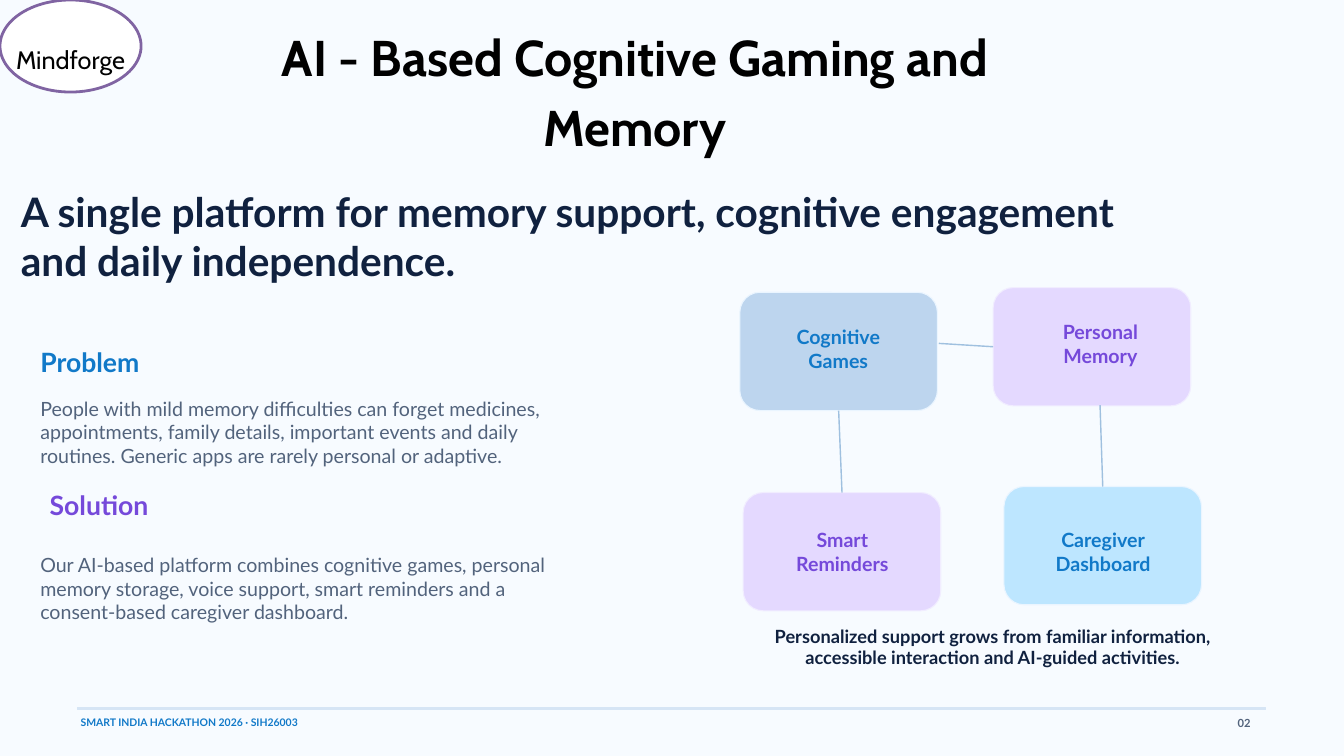
from pptx import Presentation
from pptx.dml.color import RGBColor
from pptx.enum.shapes import MSO_CONNECTOR, MSO_SHAPE
from pptx.enum.text import MSO_ANCHOR, MSO_AUTO_SIZE, PP_ALIGN
from pptx.oxml.ns import qn
from pptx.util import Inches, Pt
from lxml import etree

LEFT, MID, RIGHT = PP_ALIGN.LEFT, PP_ALIGN.CENTER, PP_ALIGN.RIGHT
TOP, CENTER = MSO_ANCHOR.TOP, MSO_ANCHOR.MIDDLE
ROUND, OVAL, RECT = MSO_SHAPE.ROUNDED_RECTANGLE, MSO_SHAPE.OVAL, MSO_SHAPE.RECTANGLE
STRAIGHT, NO_FIT = MSO_CONNECTOR.STRAIGHT, MSO_AUTO_SIZE.NONE

HEX = {
    "back": "F7FBFF", "rule": "D6E5F5", "link": "9FC0DF", "white": "FFFFFF",
    "black": "000000", "navy": "10213F", "gray": "52637C", "blue": "1179C8",
    "violet": "7549DA", "ring": "8064A2", "steel": "BDD5EE", "lilac": "E4D9FF",
    "sky": "BDE6FF", "ice": "EAF5FF", "mist": "F1EDFF",
}
RGB = {name: RGBColor.from_string(code) for name, code in HEX.items()}

deck = Presentation()
deck.slide_width, deck.slide_height = Inches(20), Inches(11.25)
CELL = deck.slide_width / 20  # the slide is a grid of 20 columns by 11.25 rows

slide = deck.slides.add_slide(deck.slide_layouts[5])
slide.background.fill.solid()
slide.background.fill.fore_color.rgb = RGB["back"]
shapes = slide.shapes


def write(box, text, size, color, lead, font="Lato", bold=True, align=LEFT,
          anchor=TOP, wrap=True, pad=(0, 0, 0, 0)):
    """Fill a shape with text; pad is left, top, right, bottom in cells."""
    frame = box.text_frame
    frame.auto_size, frame.word_wrap, frame.vertical_anchor = NO_FIT, wrap, anchor
    (frame.margin_left, frame.margin_top,
     frame.margin_right, frame.margin_bottom) = [round(p * CELL) for p in pad]
    frame.text = text
    for para in frame.paragraphs:
        para.alignment, para.line_spacing = align, Pt(lead)
        para.space_before = Pt(0)
        para.font.name, para.font.size, para.font.bold = font, Pt(size), bold
        para.font.color.rgb = RGB[color]


def draw(kind, spot, fill, edge, width):
    """Add a filled and outlined preset shape at a spot given in cells."""
    shape = shapes.add_shape(kind, *[round(n * CELL) for n in spot])
    shape.shadow.inherit = False
    shape.fill.solid()
    shape.fill.fore_color.rgb = RGB[fill]
    shape.line.color.rgb = RGB[edge]
    shape.line.width = Pt(width)
    return shape


# Title
title = shapes.title
title.left, title.top, title.width, title.height = [
    round(n * CELL) for n in (3.6, 0.24, 11.69, 2.05)]
write(title, "AI - Based Cognitive Gaming and Memory", 53.8, "black", 75.3,
      font="Cabin", align=MID)

# Footer rule
draw(RECT, (1.16, 10.53, 17.67, 0.03), "rule", "rule", 1.13)

# Feature cards: left, top, fill, edge, text colour, label, label inset
CARD_W, CARD_H, LABEL_W = 2.94, 1.76, 2.55
cards = []
for x, y, fill, edge, color, label, dx, dy in [
    (11.01, 4.35, "steel", "ice", "blue", "Cognitive\nGames", 0.19, 0.4),
    (14.78, 4.28, "lilac", "mist", "violet", "Personal\nMemory", 0.32, 0.4),
    (11.06, 7.33, "lilac", "mist", "violet", "Smart\nReminders", 0.2, 0.44),
    (14.94, 7.24, "sky", "ice", "blue", "Caregiver\nDashboard", 0.2, 0.53),
]:
    card = draw(ROUND, (x, y, CARD_W, CARD_H), fill, edge, 1.13)
    card.adjustments[0] = 0.17
    write(card, label, 21, color, 25.2, align=MID,
          pad=(dx, dy, CARD_W - LABEL_W - dx, 0))
    cards.append(card)
games, memory, alerts, board = cards

# Links between cards: ends in cells, then the cards and sides they join
for ends, start, stop in [
    ((13.97, 5.11, 14.75, 5.14), None, (memory, 1)),
    ((12.44, 6.15, 12.47, 7.3), (games, 2), (alerts, 0)),
    ((16.37, 6.03, 16.4, 7.18), None, (board, 0)),
]:
    link = shapes.add_connector(STRAIGHT, *[round(n * CELL) for n in ends])
    link.line.color.rgb = RGB["link"]
    link.line.width = Pt(1.5)
    etree.SubElement(link._element.spPr, qn("a:effectLst"))
    if start:
        link.begin_connect(*start)
    link.end_connect(*stop)

# Team badge
badge = draw(OVAL, (0, 0, 2.1, 1.37), "white", "ring", 3)
write(badge, "Mindforge", 27, "black", 32.4, font="Cabin", bold=False, align=MID,
      anchor=CENTER, wrap=False, pad=(0, 0.4, 0, 0))

# Text blocks: place in cells, text, format
body = dict(size=21, color="gray", lead=25.2, bold=False)
head = dict(size=28.5, lead=34.2)
for spot, text, style in [
    ((0.31, 2.78, 17.41, 1.44),
     "A single platform for memory support, cognitive engagement and daily "
     "independence.", dict(size=43.5, color="navy", lead=52.2)),
    ((0.6, 5.14, 3, 0.33), "Problem", dict(head, color="blue")),
    ((0.6, 5.9, 8.03, 1.39),
     "People with mild memory difficulties can forget medicines, appointments, "
     "family details, important events and daily routines. Generic apps are "
     "rarely personal or adaptive.", body),
    ((0.74, 7.28, 3, 0.33), "Solution", dict(head, color="violet")),
    ((0.6, 8.23, 8.03, 1.18),
     "Our AI-based platform combines cognitive games, personal memory storage, "
     "voice support, smart reminders and a consent-based caregiver dashboard.",
     body),
    ((11.06, 9.3, 7.43, 0.83),
     "Personalized support grows from familiar information, accessible "
     "interaction and AI-guided activities.",
     dict(size=19.5, color="navy", lead=23.4, align=MID)),
    ((1.2, 10.66, 9.01, 0.24), "SMART INDIA HACKATHON 2026 · SIH26003",
     dict(size=11.2, color="blue", lead=13.5)),
    ((18.01, 10.66, 0.6, 0.24), "02",
     dict(size=12, color="gray", lead=14.4, align=RIGHT)),
]:
    box = shapes.add_textbox(*[round(n * CELL) for n in spot])
    write(box, text, **style)

deck.save("out.pptx")
